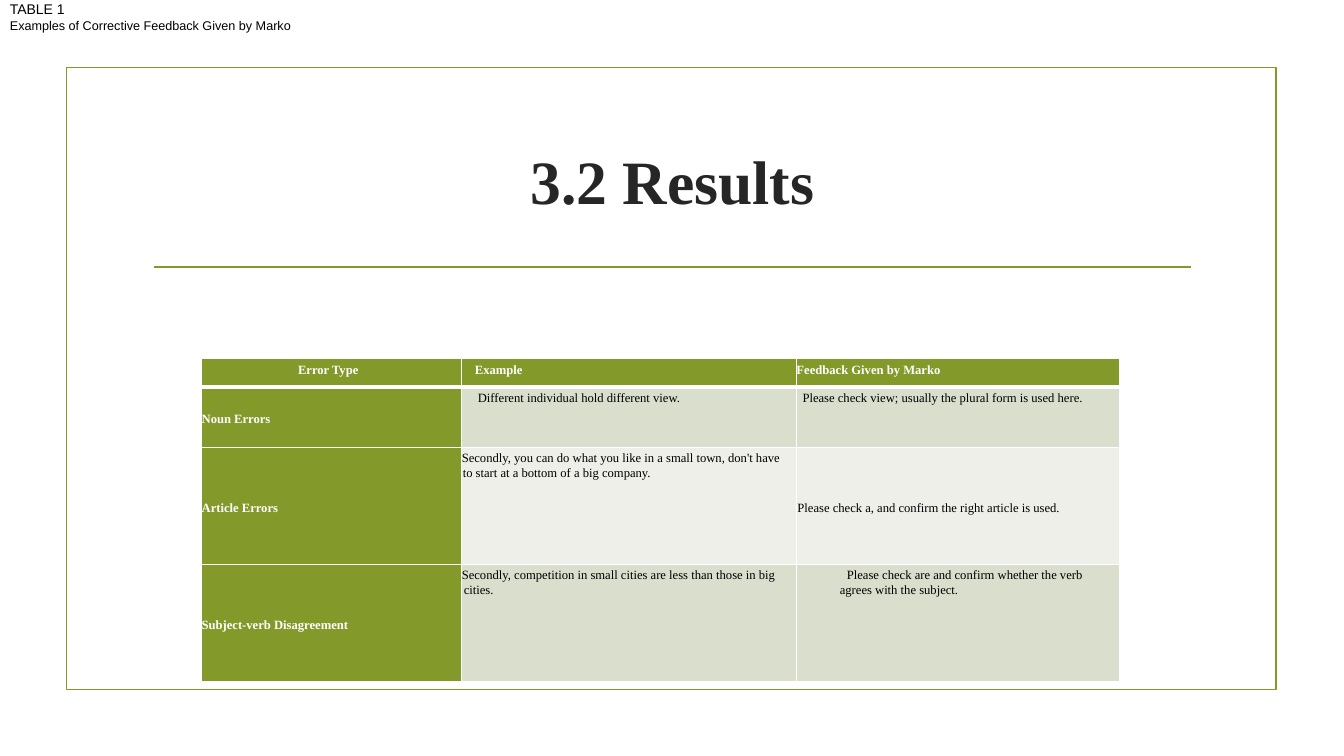
from lxml import etree
from pptx import Presentation
from pptx.dml.color import RGBColor
from pptx.enum.shapes import MSO_CONNECTOR, MSO_SHAPE
from pptx.enum.text import MSO_ANCHOR, PP_ALIGN
from pptx.oxml.ns import qn
from pptx.util import Inches, Pt

RECTANGLE = MSO_SHAPE.RECTANGLE
STRAIGHT = MSO_CONNECTOR.STRAIGHT
TOP, MIDDLE = MSO_ANCHOR.TOP, MSO_ANCHOR.MIDDLE
LEFT, CENTER = PP_ALIGN.LEFT, PP_ALIGN.CENTER

OLIVE = RGBColor(0x83, 0x99, 0x2A)
SAGE = RGBColor(0xD9, 0xDE, 0xCD)
PALE = RGBColor(0xED, 0xEF, 0xE8)
WHITE = RGBColor(0xFF, 0xFF, 0xFF)
BLACK = RGBColor(0, 0, 0)
CHARCOAL = RGBColor(0x26, 0x26, 0x26)
SERIF, SANS = "Times New Roman", "Arial"

COLUMN_WIDTHS = [2.58, 3.32, 3.2]
ROW_HEIGHTS = [0.28, 0.6, 1.16, 1.16]
ROW_FILLS = [OLIVE, SAGE, PALE, SAGE]
ERROR_ROWS = [
    [("Error Type", 0.43, -0.42, TOP),
     ("Example", 0.55, -0.42, TOP),
     ("Feedback Given by Marko", 0.17, -0.42, TOP)],
    [("Noun Errors", 0.08, -0.42, MIDDLE),
     ("Different individual hold different view.", 0.41, -0.25, TOP),
     ("Please check view; usually the plural form is used here.", 0.2, -0.14, TOP)],
    [("Article Errors", 0.08, -0.42, MIDDLE),
     ("Secondly, you can do what you like in a small town, don't have "
      "to start at a bottom of a big company.", 0.01, -0.01, TOP),
     ("Please check a, and confirm the right article is used.", 0.31, -0.3, MIDDLE)],
    [("Subject-verb Disagreement", 0.08, -0.42, MIDDLE),
     ("Secondly, competition in small cities are less than those in big cities.",
      0.02, -0.02, TOP),
     ("Please check are and confirm whether the verb agrees with the subject.",
      0.43, 0.07, TOP)],
]


def write(para, text, size=9, font=SERIF, color=BLACK, bold=False, align=LEFT):
    para.alignment = align
    span = para.add_run()
    span.text = text
    span.font.size = Pt(size)
    span.font.name = font
    span.font.bold = bold
    span.font.color.rgb = color


class ResultsSlide:
    accent = OLIVE
    line_width = Pt(1.25)

    def __init__(self, deck):
        self.page = deck.slides.add_slide(deck.slide_layouts[6])

    def frame(self, left, top, width, height):
        shape = self.page.shapes.add_shape(
            RECTANGLE, Inches(left), Inches(top), Inches(width), Inches(height))
        shape.shadow.inherit = False
        shape.fill.background()
        shape.line.color.rgb = self.accent
        shape.line.width = self.line_width

    def rule(self, left, right, height):
        line = self.page.shapes.add_connector(
            STRAIGHT, Inches(left), Inches(height), Inches(right), Inches(height))
        line.line.color.rgb = self.accent
        line.line.width = self.line_width
        etree.SubElement(line._element.spPr, qn("a:effectLst"))

    def text(self, left, top, width, height, anchor, lines):
        box = self.page.shapes.add_textbox(
            Inches(left), Inches(top), Inches(width), Inches(height))
        frame = box.text_frame
        frame.word_wrap = True
        frame.vertical_anchor = anchor
        frame.margin_top = frame.margin_bottom = 0
        for index, (text, style) in enumerate(lines):
            para = frame.add_paragraph() if index else frame.paragraphs[0]
            write(para, text, **style)

    def borders(self, cell, top, bottom):
        properties = cell._tc.get_or_add_tcPr()
        for side, width in (("L", 1), ("R", 1), ("T", top), ("B", bottom)):
            line = etree.SubElement(properties, qn(f"a:ln{side}"), w=str(Pt(width)))
            fill = etree.SubElement(line, qn("a:solidFill"))
            etree.SubElement(fill, qn("a:srgbClr"), val=str(WHITE))

    def table(self, left, top, rows):
        table = self.page.shapes.add_table(
            len(rows), len(COLUMN_WIDTHS), Inches(left), Inches(top),
            Inches(sum(COLUMN_WIDTHS)), Inches(sum(ROW_HEIGHTS))).table
        table.horz_banding = False
        for column, width in zip(table.columns, COLUMN_WIDTHS):
            column.width = Inches(width)
        for row, height in zip(table.rows, ROW_HEIGHTS):
            row.height = Inches(height)
        for row, entries in enumerate(rows):
            for column, entry in enumerate(entries):
                self.cell(table.cell(row, column), row, column, *entry)

    def cell(self, cell, row, column, text, margin, indent, anchor):
        heading = row == 0 or column == 0
        self.borders(cell, top=3 if row == 1 else 1, bottom=3 if row == 0 else 1)
        cell.fill.solid()
        cell.fill.fore_color.rgb = self.accent if heading else ROW_FILLS[row]
        cell.margin_left = cell.margin_bottom = 0
        cell.margin_top, cell.margin_right = Inches(0.03), Inches(0.08)
        cell.vertical_anchor = anchor
        para = cell.text_frame.paragraphs[0]
        para.line_spacing = 1.07
        para.space_after = Pt(0.2)
        properties = para._p.get_or_add_pPr()
        properties.set("marL", str(Inches(margin)))
        properties.set("indent", str(Inches(indent)))
        write(para, text, color=WHITE if heading else BLACK, bold=heading,
              align=CENTER if row == column == 0 else LEFT)


def main():
    deck = Presentation()
    deck.slide_width, deck.slide_height = Inches(13.33), Inches(7.5)
    slide = ResultsSlide(deck)
    slide.frame(0.66, 0.67, 12, 6.17)
    slide.rule(1.53, 11.81, 2.65)
    slide.text(1.42, 1.07, 10.5, 1.43, MIDDLE, [
        ("3.2 Results", dict(size=44, color=CHARCOAL, bold=True, align=CENTER))])
    slide.table(2, 3.56, ERROR_ROWS)
    slide.text(0, 0.01, 13.33, 0.5, TOP, [
        ("TABLE 1", dict(size=10, font=SANS)),
        ("Examples of Corrective Feedback Given by Marko", dict(font=SANS))])
    deck.save("out.pptx")


if __name__ == "__main__":
    main()
